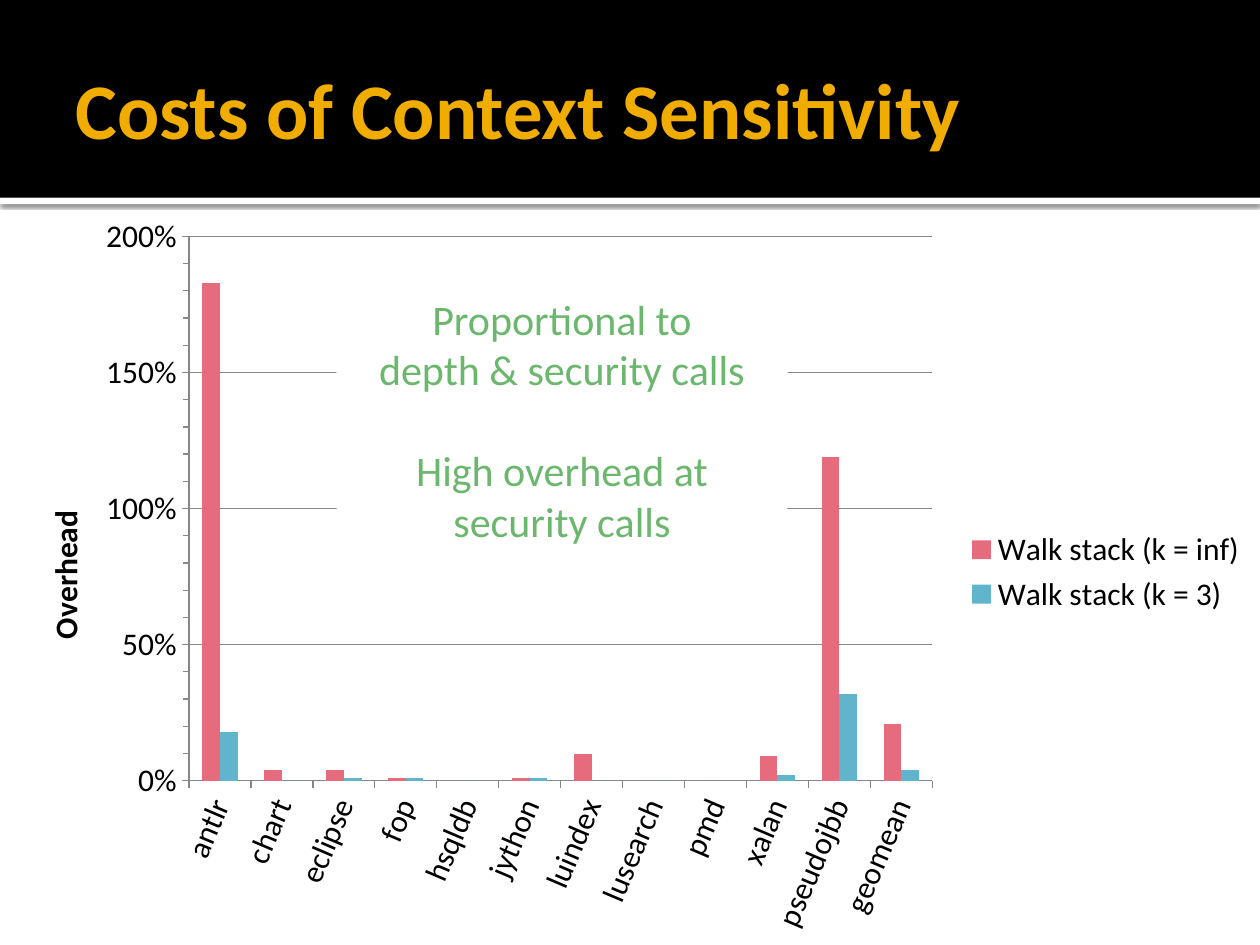
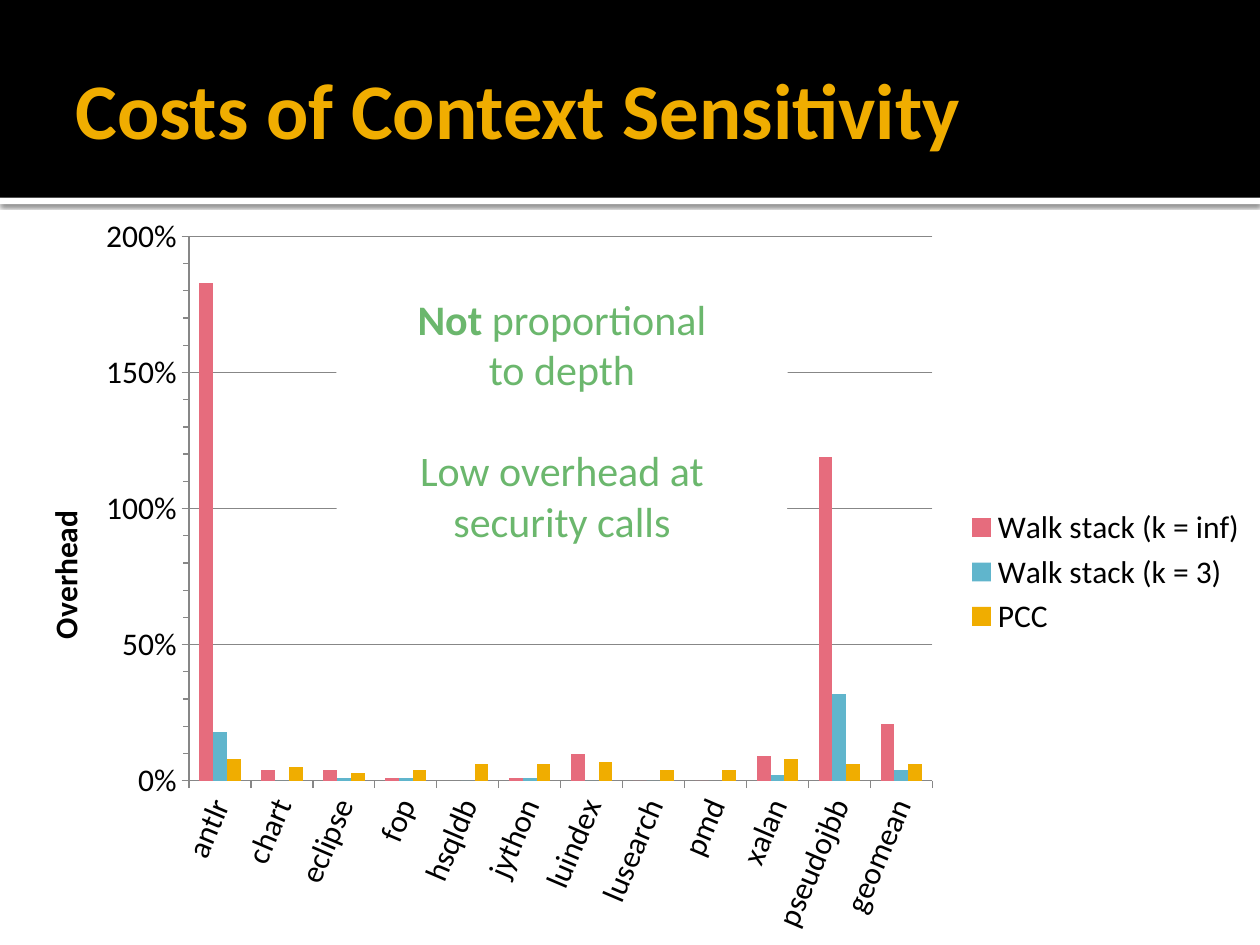
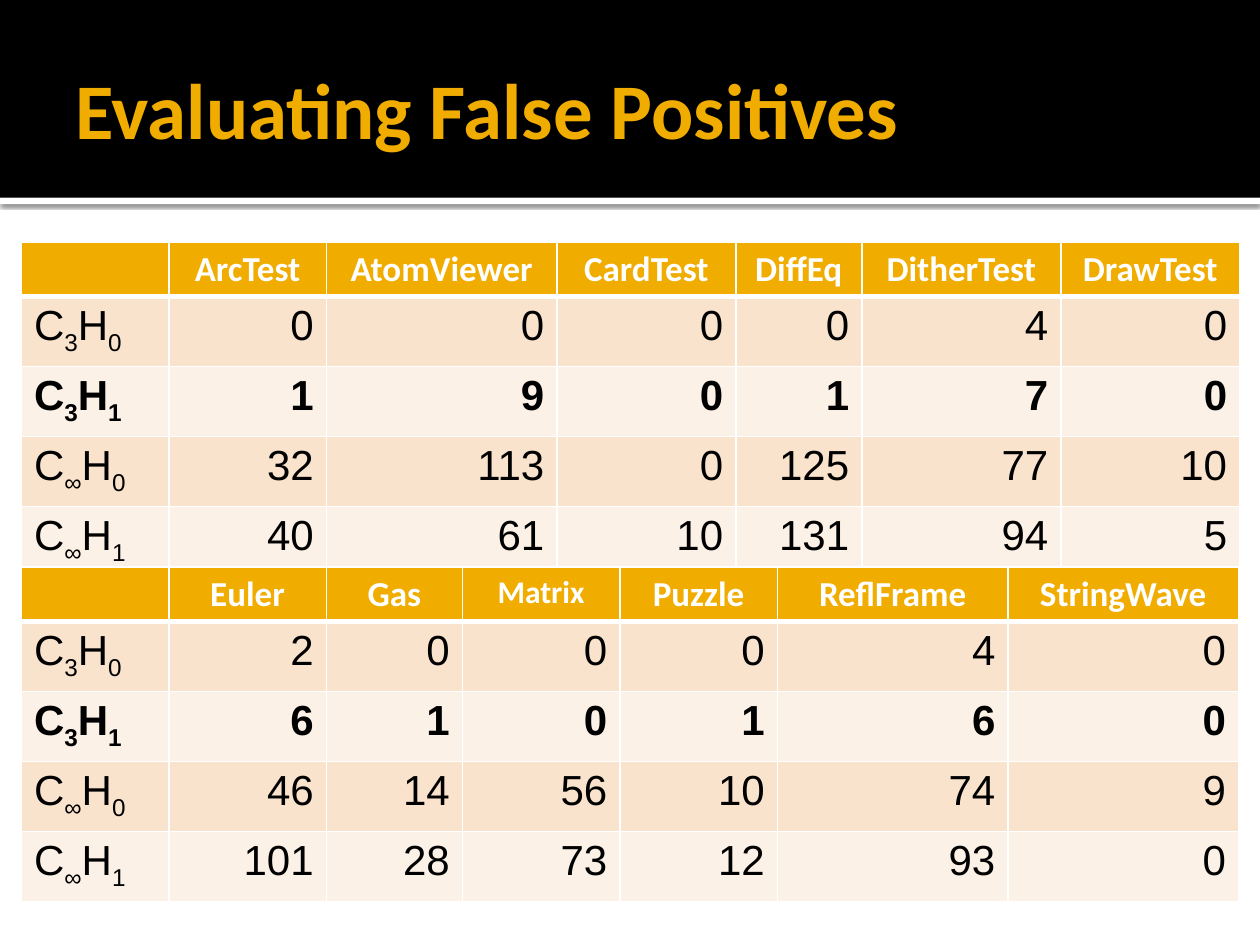
"""Build three slides on the costs of context sensitivity and on false positives."""
import pptx
import pptx.chart.data
import pptx.dml.color
import pptx.enum.chart
import pptx.enum.shapes
import pptx.enum.text
import pptx.oxml
import pptx.util
from pptx.util import Inches

COLOURS = {
    "black": "000000", "white": "FFFFFF", "gold": "F0AD00", "green": "6BB76D",
    "rose": "E66C7D", "blue": "60B5CC", "grey": "878787",
    "dark row": "F9E3CC", "light row": "FCF1E7",
}
BENCHMARKS = ["antlr", "chart", "eclipse", "fop", "hsqldb", "jython", "luindex",
              "lusearch", "pmd", "xalan", "pseudojbb", "geomean"]
OVERHEADS = [
    ("Walk stack (k = inf)", "rose", [183, 4, 4, 1, -1, 1, 10, 0, 0, 9, 119, 21]),
    ("Walk stack (k = 3)", "blue", [18, 0, 1, 1, 0, 1, 0, 0, -1, 2, 32, 4]),
    ("PCC", "gold", [8, 5, 3, 4, 6, 6, 7, 4, 4, 8, 6, 6]),
]
COST_PAGES = [
    (2, [[("Proportional to", False)],
         [("depth & security calls", False)],
         [("High overhead at security calls", False)]]),
    (3, [[("Not", True), (" proportional", False)],
         [("to depth", False)],
         [("Low overhead at security calls", False)]]),
]
CONFIGURATIONS = [("3", "0"), ("3", "1"), ("∞", "0"), ("∞", "1")]
BOLD_CONFIGURATION = ("3", "1")
FALSE_POSITIVES = [
    {"top": 1.92, "widths": [1.17, 1.25, 1.83, 1.42, 1, 1.58, 1.42],
     "programs": ["ArcTest", "AtomViewer", "CardTest", "DiffEq", "DitherTest", "DrawTest"],
     "counts": [[0, 0, 0, 0, 4, 0], [1, 9, 0, 1, 7, 0],
                [32, 113, 0, 125, 77, 10], [40, 61, 10, 131, 94, 5]]},
    {"top": 4.5, "widths": [1.17, 1.25, 1.08, 1.25, 1.25, 1.83, 1.83],
     "programs": ["Euler", "Gas", "Matrix", "Puzzle", "ReflFrame", "StringWave"],
     "counts": [[2, 0, 0, 0, 4, 0], [6, 1, 0, 1, 6, 0],
                [46, 14, 56, 10, 74, 9], [101, 28, 73, 12, 93, 0]]},
]
SMALL_HEADERS = {"Matrix": 18}
DRAWING = 'xmlns:a="http://schemas.openxmlformats.org/drawingml/2006/main"'
CHART = 'xmlns:c="http://schemas.openxmlformats.org/drawingml/2006/chart"'
ALIGN = pptx.enum.text.PP_ALIGN
MIDDLE = pptx.enum.text.MSO_ANCHOR.MIDDLE
SHAPE = pptx.enum.shapes.MSO_SHAPE


def colour(name):
    return pptx.dml.color.RGBColor.from_string(COLOURS[name])


def write(para, text, size=24, font="Calibri", color="black", bold=False, baseline=0):
    span = para.add_run()
    span.text = text
    span.font.size = pptx.util.Pt(size)
    span.font.name = font
    span.font.bold = bold
    span.font.color.rgb = colour(color)
    if baseline:
        span.font._element.set("baseline", str(baseline * 1000))


def add_block(page, kind, place, fill):
    block = page.shapes.add_shape(kind, *map(Inches, place))
    block.shadow.inherit = False
    block.fill.solid()
    block.fill.fore_color.rgb = colour(fill)
    block.line.fill.background()
    return block


def add_page(deck, title):
    page = deck.slides.add_slide(deck.slide_layouts[6])
    strip = add_block(page, SHAPE.RECTANGLE, (0, 1.57, 10, 0.05), "white")
    effects = strip._element.spPr.find(pptx.oxml.ns.qn("a:effectLst"))
    effects.append(pptx.oxml.parse_xml(
        f'<a:outerShdw {DRAWING} blurRad="31750" dist="10160" dir="5400000" algn="t" '
        f'rotWithShape="0"><a:srgbClr val="{COLOURS["black"]}"><a:alpha val="60000"/>'
        '</a:srgbClr></a:outerShdw>'))
    add_block(page, SHAPE.RECTANGLE, (0, 0, 10, 1.57), "black")
    frame = page.shapes.add_textbox(*map(Inches, (0.5, 0.17, 9, 1.37))).text_frame
    frame.word_wrap = True
    frame.vertical_anchor = MIDDLE
    frame.margin_right = Inches(0.05)
    write(frame.paragraphs[0], title, size=45, color="gold", bold=True)
    return page


def place_part(parent, before, target, **place):
    old = parent.find(pptx.oxml.ns.qn("c:layout"))
    if old is not None:
        parent.remove(old)
    modes = "".join(f'<c:{side}Mode val="edge"/>' for side in ("x", "y"))
    values = "".join(f'<c:{side} val="{value}"/>' for side, value in place.items())
    layout = pptx.oxml.parse_xml(
        f'<c:layout {CHART}><c:manualLayout>{target}{modes}{values}'
        '</c:manualLayout></c:layout>')
    parent.insert(before, layout)


def add_overhead_chart(page, series_count):
    shown = OVERHEADS[:series_count]
    data = pptx.chart.data.CategoryChartData()
    data.categories = BENCHMARKS
    for name, _, values in shown:
        data.add_series(name, values)
    chart = page.shapes.add_chart(
        pptx.enum.chart.XL_CHART_TYPE.COLUMN_CLUSTERED,
        *map(Inches, (0, 1.58, 10, 5.92)), data).chart
    chart.has_title = False
    chart.font.size = pptx.util.Pt(18)
    chart.font.name = "Calibri"
    chart.font.color.rgb = colour("black")
    chart.has_legend = True
    chart.legend.position = pptx.enum.chart.XL_LEGEND_POSITION.RIGHT
    chart.legend.include_in_layout = False
    plot = chart.plots[0]
    plot.gap_width = 150
    plot.overlap = 0
    plot.vary_by_categories = False
    for series, (_, fill, _) in zip(plot.series, shown):
        series.invert_if_negative = False
        series.format.fill.solid()
        series.format.fill.fore_color.rgb = colour(fill)
    marks = pptx.enum.chart.XL_TICK_MARK
    benchmarks, overhead = chart.category_axis, chart.value_axis
    overhead.has_major_gridlines = True
    for part in (benchmarks, overhead, overhead.major_gridlines):
        part.format.line.color.rgb = colour("grey")
        part.format.line.width = pptx.util.Pt(0.75)
    benchmarks.major_tick_mark = overhead.major_tick_mark = marks.OUTSIDE
    overhead.minor_tick_mark = marks.OUTSIDE
    benchmarks.tick_labels.font.size = pptx.util.Pt(18)
    labels = benchmarks._element.find(pptx.oxml.ns.qn("c:txPr"))
    labels.find(pptx.oxml.ns.qn("a:bodyPr")).set("rot", str(-67 * 60000))
    overhead.minimum_scale, overhead.maximum_scale = 0, 200
    overhead.major_unit, overhead.minor_unit = 50, 10
    overhead.tick_labels.number_format = "General\\%"
    overhead.tick_labels.number_format_is_linked = False
    heading = overhead.axis_title
    write(heading.text_frame.paragraphs[0], "Overhead", size=18, bold=True)
    body = heading._element.find(".//" + pptx.oxml.ns.qn("a:bodyPr"))
    body.set("rot", str(-90 * 60000))
    body.set("vert", "horz")
    place_part(heading._element, 1, "", x=0.03, y=0.41)
    area = chart._chartSpace.chart.plotArea
    place_part(area, 0, '<c:layoutTarget val="inner"/>', x=0.15, y=0.05, w=0.59, h=0.73)


def add_remark(page, lines):
    remark = add_block(page, SHAPE.ROUNDED_RECTANGLE, (2.67, 2.33, 3.58, 2), "white")
    frame = remark.text_frame
    frame.word_wrap = True
    frame.vertical_anchor = MIDDLE
    for number, spans in enumerate(lines):
        para = frame.add_paragraph() if number else frame.paragraphs[0]
        para.alignment = ALIGN.CENTER
        if number == len(lines) - 1:
            para.space_before = pptx.util.Pt(29)
        for text, bold in spans:
            write(para, text, color="green", bold=bold)


def style_cell(cell, fill, top=1, bottom=1):
    cell.fill.solid()
    cell.fill.fore_color.rgb = colour(fill)
    properties = cell._tc.get_or_add_tcPr()
    widths = {"L": 1, "R": 1, "T": top, "B": bottom}
    for position, (side, width) in enumerate(widths.items()):
        properties.insert(position, pptx.oxml.parse_xml(
            f'<a:ln{side} {DRAWING} w="{width * 12700}"><a:solidFill>'
            f'<a:srgbClr val="{COLOURS["white"]}"/></a:solidFill></a:ln{side}>'))


def add_counts(page, top, widths, programs, counts):
    heights = [0.42] + [0.52] * len(counts)
    table = page.shapes.add_table(
        len(heights), len(widths), Inches(0.17), Inches(top),
        Inches(sum(widths)), Inches(sum(heights))).table
    for column, width in zip(table.columns, widths):
        column.width = Inches(width)
    for row, height in zip(table.rows, heights):
        row.height = Inches(height)
    for column, program in enumerate([""] + programs):
        cell = table.cell(0, column)
        style_cell(cell, "gold", bottom=3)
        if program:
            para = cell.text_frame.paragraphs[0]
            para.alignment = ALIGN.CENTER
            write(para, program, size=SMALL_HEADERS.get(program, 20),
                  color="white", bold=True)
    for row, (configuration, values) in enumerate(zip(CONFIGURATIONS, counts), 1):
        bold = configuration == BOLD_CONFIGURATION
        for column in range(len(widths)):
            cell = table.cell(row, column)
            style_cell(cell, "dark row" if row % 2 else "light row",
                       top=3 if row == 1 else 1)
            para = cell.text_frame.paragraphs[0]
            if column:
                para.alignment = ALIGN.RIGHT
                write(para, str(values[column - 1]), font="Arial", bold=bold)
            else:
                for letter, index in zip("CH", configuration):
                    write(para, letter, font="Arial", bold=bold)
                    write(para, index, font="Arial", bold=bold, baseline=-25)


def main():
    deck = pptx.Presentation()
    deck.slide_width, deck.slide_height = Inches(10), Inches(7.5)
    for series_count, remark in COST_PAGES:
        page = add_page(deck, "Costs of Context Sensitivity")
        add_overhead_chart(page, series_count)
        add_remark(page, remark)
    page = add_page(deck, "Evaluating False Positives")
    for counts in FALSE_POSITIVES:
        add_counts(page, **counts)
    deck.save("out.pptx")


if __name__ == "__main__":
    main()
